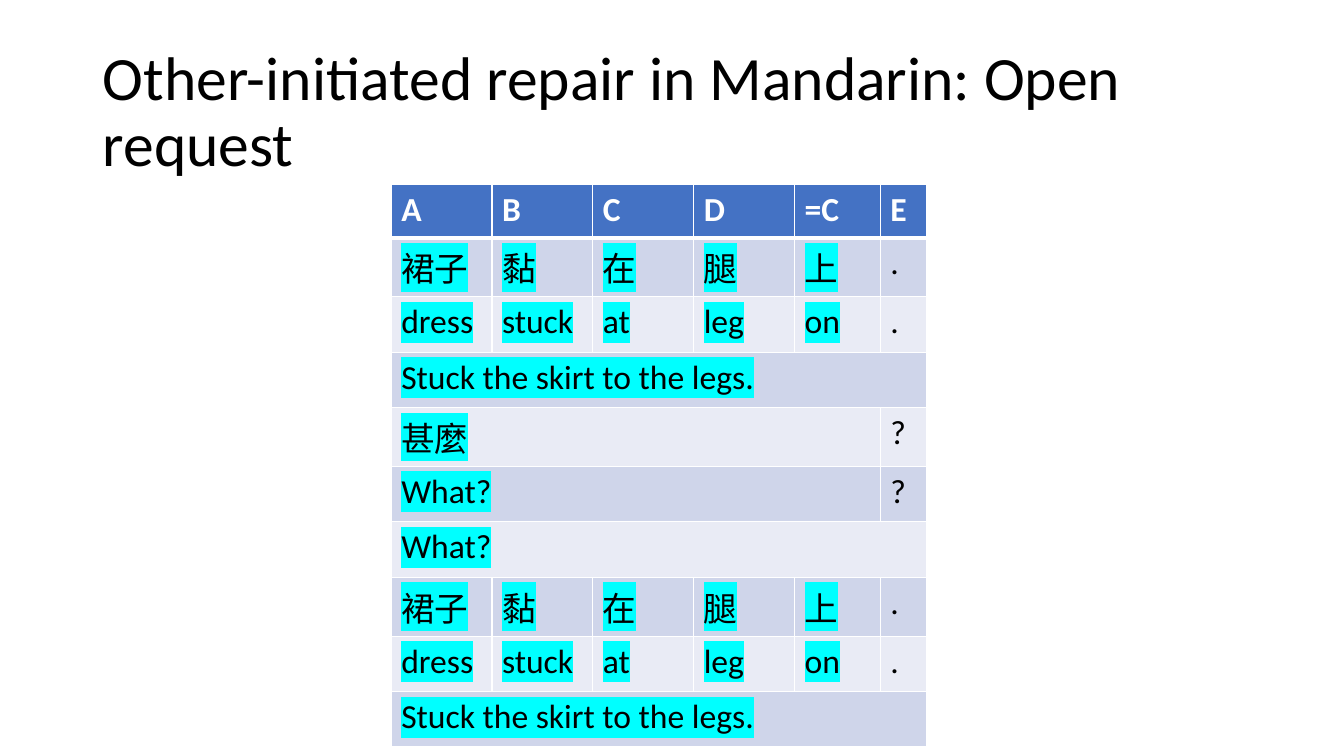
import pptx
import pptx.util
import pptx.dml.color
import pptx.enum.text
import pptx.oxml
import pptx.oxml.ns
import lxml.etree

PX = 9144
COLORS = {
    "header": "4472C4",
    "odd": "CFD5EA",
    "even": "E9EBF5",
    "white": "FFFFFF",
    "black": "000000",
    "highlight": "00FFFF",
}
TITLE = "Other-initiated repair in Mandarin: Open request"
HEADINGS = ["A", "B", "C", "D", "=C", "E"]
STATEMENT = [
    ["裙子", "黏", "在", "腿", "上", "."],
    ["dress", "stuck", "at", "leg", "on", "."],
    ["Stuck the skirt to the legs."],
]
QUESTION = [["甚麼", "?"], ["What?", "?"], ["What?"]]
ROWS = [HEADINGS] + STATEMENT + QUESTION + STATEMENT
COLUMN_WIDTHS = [100, 100, 100, 100, 85, 46]
HEADER_HEIGHT, ROW_HEIGHT = 53, 55


def rgb(name):
    return pptx.dml.color.RGBColor.from_string(COLORS[name])


def set_all(target, values):
    for name, value in values.items():
        setattr(target, name, value)


def format_font(font, size, color, bold=False):
    set_all(font, {"name": "Calibri", "size": pptx.util.Pt(size), "bold": bold})
    font.color.rgb = rgb(color)


def place(shape, box):
    for name, length in zip(("left", "top", "width", "height"), box):
        setattr(shape, name, length * PX)


def add_color(parent, tag, color):
    element = lxml.etree.SubElement(parent, pptx.oxml.ns.qn(tag))
    lxml.etree.SubElement(element, pptx.oxml.ns.qn("a:srgbClr"), val=COLORS[color])
    return element


def highlight(span):
    properties = span.font._element
    mark = add_color(properties, "a:highlight", "highlight")
    properties.find(pptx.oxml.ns.qn("a:solidFill")).addnext(mark)


def add_borders(cell, bottom_points):
    properties = cell._tc.get_or_add_tcPr()
    points = {"a:lnL": 1, "a:lnR": 1, "a:lnT": 1, "a:lnB": bottom_points}
    for index, (tag, width) in enumerate(points.items()):
        line = lxml.etree.Element(
            pptx.oxml.ns.qn(tag), w=str(pptx.util.Pt(width)))
        add_color(line, "a:solidFill", "white")
        properties.insert(index, line)


def fill_cell(cell, text, is_header, is_marked):
    span = cell.text_frame.paragraphs[0].add_run()
    span.text = text
    format_font(span.font, 24, "white" if is_header else "black", is_header)
    if is_marked:
        highlight(span)


def add_title(page, box):
    title = page.shapes.title
    place(title, box)
    frame = title.text_frame
    set_all(frame, {
        "word_wrap": True,
        "auto_size": pptx.enum.text.MSO_AUTO_SIZE.NONE,
        "vertical_anchor": pptx.enum.text.MSO_ANCHOR.MIDDLE,
    })
    para = frame.paragraphs[0]
    set_all(para, {"alignment": pptx.enum.text.PP_ALIGN.LEFT, "line_spacing": 0.9})
    span = para.add_run()
    span.text = TITLE
    format_font(span.font, 44, "black")


def add_transcript(page, left, top):
    count = len(COLUMN_WIDTHS)
    heights = [HEADER_HEIGHT] + [ROW_HEIGHT] * (len(ROWS) - 1)
    frame = page.shapes.add_table(len(ROWS), count, 0, 0, 0, 0)
    place(frame, (left, top, sum(COLUMN_WIDTHS), sum(heights)))
    table = frame.table
    for column, width in zip(table.columns, COLUMN_WIDTHS):
        column.width = width * PX
    for index, (texts, height) in enumerate(zip(ROWS, heights)):
        is_header = index == 0
        table.rows[index].height = height * PX
        fill = "header" if is_header else "odd" if index % 2 else "even"
        for column in range(count):
            cell = table.cell(index, column)
            cell.fill.solid()
            cell.fill.fore_color.rgb = rgb(fill)
            add_borders(cell, 3 if is_header else 1)
        extra = count - len(texts)
        if extra:
            table.cell(index, 0).merge(table.cell(index, extra))
        for position, text in enumerate(texts):
            column = position + extra if position else 0
            is_marked = not is_header and column < count - 1
            fill_cell(table.cell(index, column), text, is_header, is_marked)


def main():
    deck = pptx.Presentation()
    set_all(deck, {"slide_width": 1333 * PX, "slide_height": 750 * PX})
    page = deck.slides.add_slide(deck.slide_layouts[5])
    add_title(page, (92, 40, 1150, 145))
    add_transcript(page, 388, 183)
    deck.save("out.pptx")


if __name__ == "__main__":
    main()
